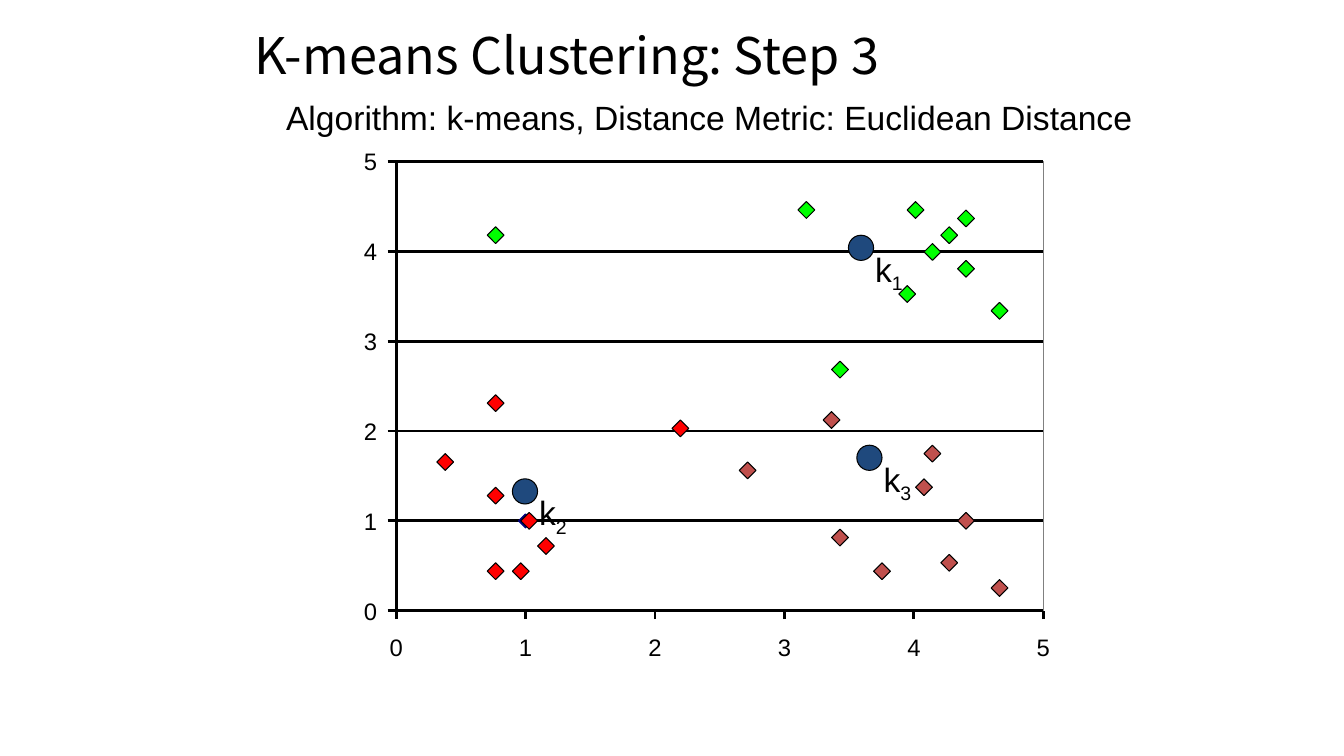
from lxml.etree import SubElement
from pptx import Presentation
from pptx.dml.color import RGBColor
from pptx.enum.shapes import MSO_CONNECTOR as Connector, MSO_SHAPE as Shape
from pptx.enum.text import MSO_ANCHOR as Anchor, MSO_AUTO_SIZE as AutoSize, PP_ALIGN as Align
from pptx.oxml.ns import qn
from pptx.util import Inches, Pt

# Grid: 160 columns by 90 rows, each cell a twelfth of an inch
COLUMNS, ROWS = 160, 90
SLIDE_WIDTH, SLIDE_HEIGHT = Inches(13.33), Inches(7.5)

# Plot area in grid cells, both axes running from 0 to 5
PLOT_LEFT, PLOT_TOP, PLOT_WIDTH, PLOT_HEIGHT = 47.16, 19.2, 77.04, 53.52
PLOT_RIGHT, PLOT_BOTTOM = PLOT_LEFT + PLOT_WIDTH, PLOT_TOP + PLOT_HEIGHT
AXIS_MAX = 5
TICK = 1
LABEL_WIDTH, LABEL_HEIGHT = 1.56, 3.48

# Top left cell of every point, by cluster colour
CLUSTERS = {
    "FF0000": [(62, 61), (64, 64), (61, 67), (58, 58), (58, 47), (58, 67),
               (52, 54), (80, 50)],
    "00FF00": [(58, 27), (108, 24), (114, 25), (112, 27), (110, 29), (114, 31),
               (118, 36), (95, 24), (99, 43), (107, 34)],
    "C0504D": [(99, 63), (104, 67), (109, 57), (98, 49), (88, 55), (114, 61),
               (112, 66), (110, 53), (118, 69)],
}
CENTROIDS = [(101, 28), (61, 57), (102, 53)]


def color(hex_text):
    return RGBColor.from_string(hex_text)


def plot_x(value):
    return PLOT_LEFT + value * PLOT_WIDTH / AXIS_MAX


def plot_y(value):
    return PLOT_BOTTOM - value * PLOT_HEIGHT / AXIS_MAX


class SlidePainter:
    font, title_font, ink = "Arial", "Noto Sans CJK KR", "000000"

    def __init__(self, slide):
        self.slide = slide

    def place(self, column, row, width, height):
        across, down = SLIDE_WIDTH / COLUMNS, SLIDE_HEIGHT / ROWS
        return (round(column * across), round(row * down),
                round(width * across), round(height * down))

    def format(self, span, size, font=None):
        span.font.name = font or self.font
        span.font.size = Pt(size)
        span.font.color.rgb = color(self.ink)

    def title(self, text, *cells):
        box = self.slide.shapes.title
        box.left, box.top, box.width, box.height = self.place(*cells)
        frame = box.text_frame
        frame.text = text
        frame.auto_size = AutoSize.NONE
        frame.vertical_anchor = Anchor.MIDDLE
        frame.margin_left = frame.margin_right = Inches(0.11)
        frame.paragraphs[0].alignment = Align.LEFT
        self.format(frame.paragraphs[0].runs[0], 36, self.title_font)

    def text(self, text, *cells, size=24, subscript="", wrap=False, margin=None):
        frame = self.slide.shapes.add_textbox(*self.place(*cells)).text_frame
        frame.word_wrap = wrap
        frame.auto_size = AutoSize.SHAPE_TO_FIT_TEXT
        if margin is not None:
            frame.margin_left = frame.margin_right = margin
            frame.margin_top = frame.margin_bottom = margin
        para = frame.paragraphs[0]
        para.text = text
        if subscript:
            span = para.add_run()
            span.text = subscript
            span._r.get_or_add_rPr().set("baseline", "-25000")
        for span in para.runs:
            self.format(span, size)

    def shape(self, kind, *cells, fill=None, line=None, weight=0.75):
        shape = self.slide.shapes.add_shape(kind, *self.place(*cells))
        shape.shadow.inherit = False
        if fill:
            shape.fill.solid()
            shape.fill.fore_color.rgb = color(fill)
        else:
            shape.fill.background()
        shape.line.color.rgb = color(line or self.ink)
        shape.line.width = Pt(weight)

    def line(self, column, row, end_column, end_row):
        start, end = self.place(column, row, 0, 0), self.place(end_column, end_row, 0, 0)
        line = self.slide.shapes.add_connector(Connector.STRAIGHT, *start[:2], *end[:2])
        line.line.color.rgb = color(self.ink)
        line.line.width = Pt(0)
        SubElement(line._element.spPr, qn("a:effectLst"))


def main():
    deck = Presentation()
    deck.slide_width, deck.slide_height = SLIDE_WIDTH, SLIDE_HEIGHT
    page = SlidePainter(deck.slides.add_slide(deck.slide_layouts[5]))

    # Headings
    page.title("K-means Clustering: Step 3", 28.92, 3, 102, 7)
    page.text("Algorithm: k-means, Distance Metric: Euclidean Distance",
              32.88, 11, 104.16, 6.1)

    # Plot frame, axes, gridlines and tick labels
    page.shape(Shape.RECTANGLE, PLOT_LEFT, PLOT_TOP, PLOT_WIDTH, PLOT_HEIGHT,
               line="808080", weight=0.63)
    page.line(PLOT_LEFT, PLOT_TOP, PLOT_LEFT, PLOT_BOTTOM)
    for value in range(AXIS_MAX + 1):
        x, y = plot_x(value), plot_y(value)
        page.line(PLOT_LEFT, y, PLOT_RIGHT, y)
        page.line(PLOT_LEFT - TICK, y, PLOT_LEFT, y)
        page.line(x, PLOT_BOTTOM + TICK, x, PLOT_BOTTOM)
        for column, row in [(43.32, y - LABEL_HEIGHT / 2),
                            (x - LABEL_WIDTH / 2, 75.36)]:
            page.text(str(value), column, row, LABEL_WIDTH, LABEL_HEIGHT,
                      size=17, margin=0)

    # Navy marker at (1, 1)
    marker = 1.68
    page.shape(Shape.DIAMOND, plot_x(1) - marker / 2, plot_y(1) - marker / 2,
               marker, marker, fill="000080", line="000080", weight=0.63)

    # Centroids with their names
    for number, (column, row) in enumerate(CENTROIDS, 1):
        page.shape(Shape.OVAL, column, row, 3, 3, fill="1F497D")
        page.text("k", column + 2, row + 1, 7, 6, subscript=str(number), wrap=True)

    # Clustered points
    for fill, points in CLUSTERS.items():
        for column, row in points:
            page.shape(Shape.DIAMOND, column, row, 2, 2, fill=fill)

    deck.save("out.pptx")


if __name__ == "__main__":
    main()
